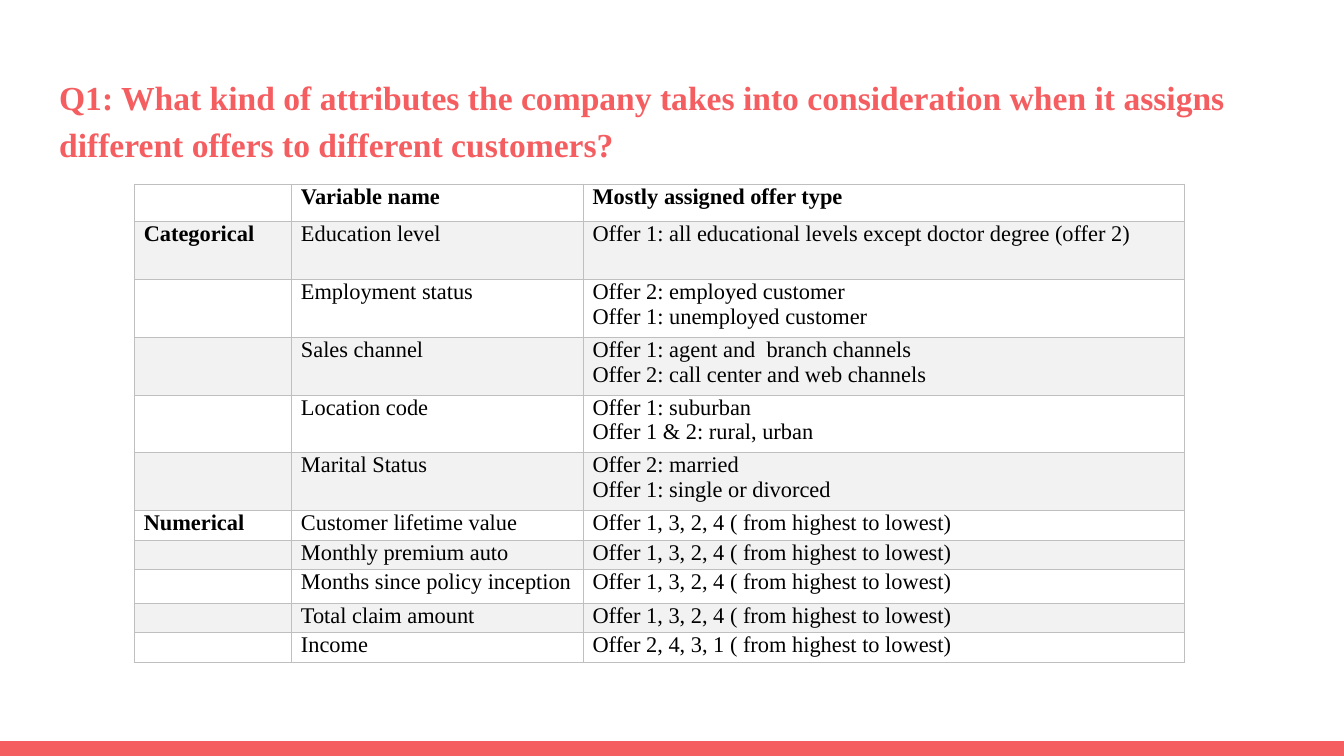
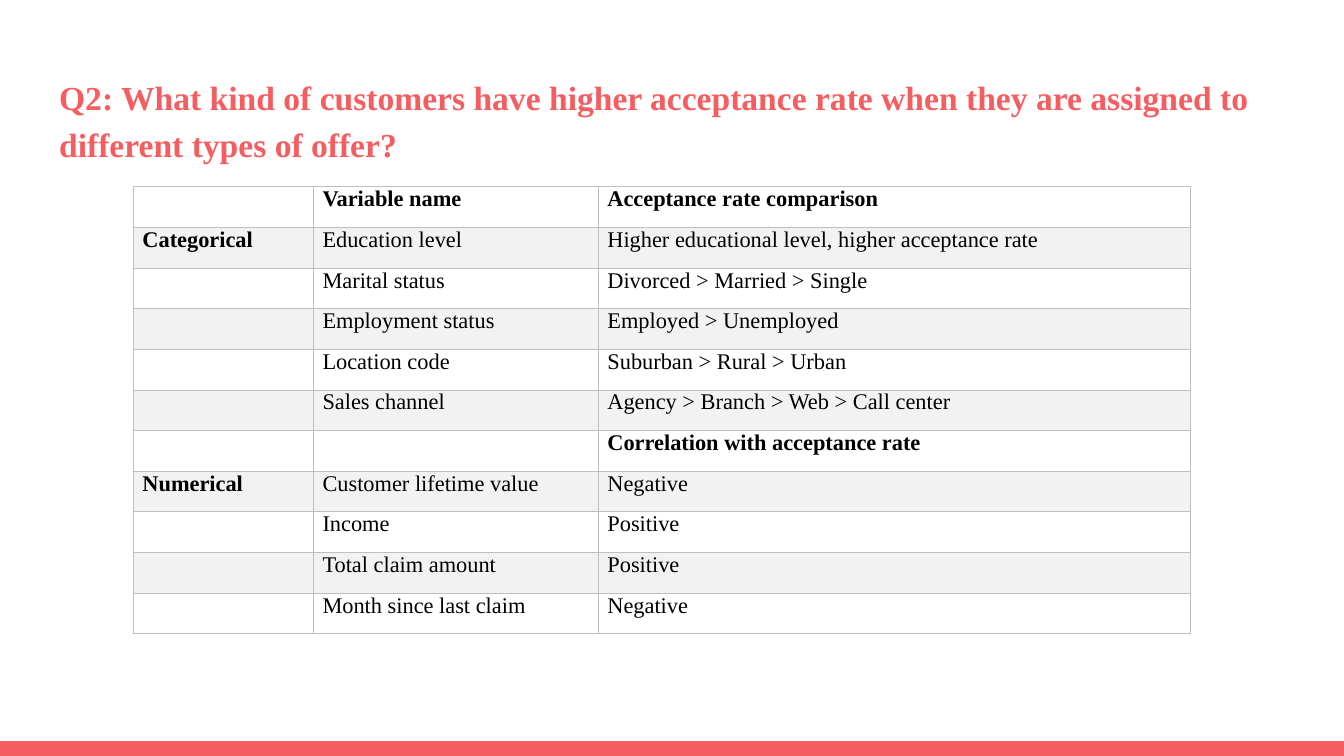
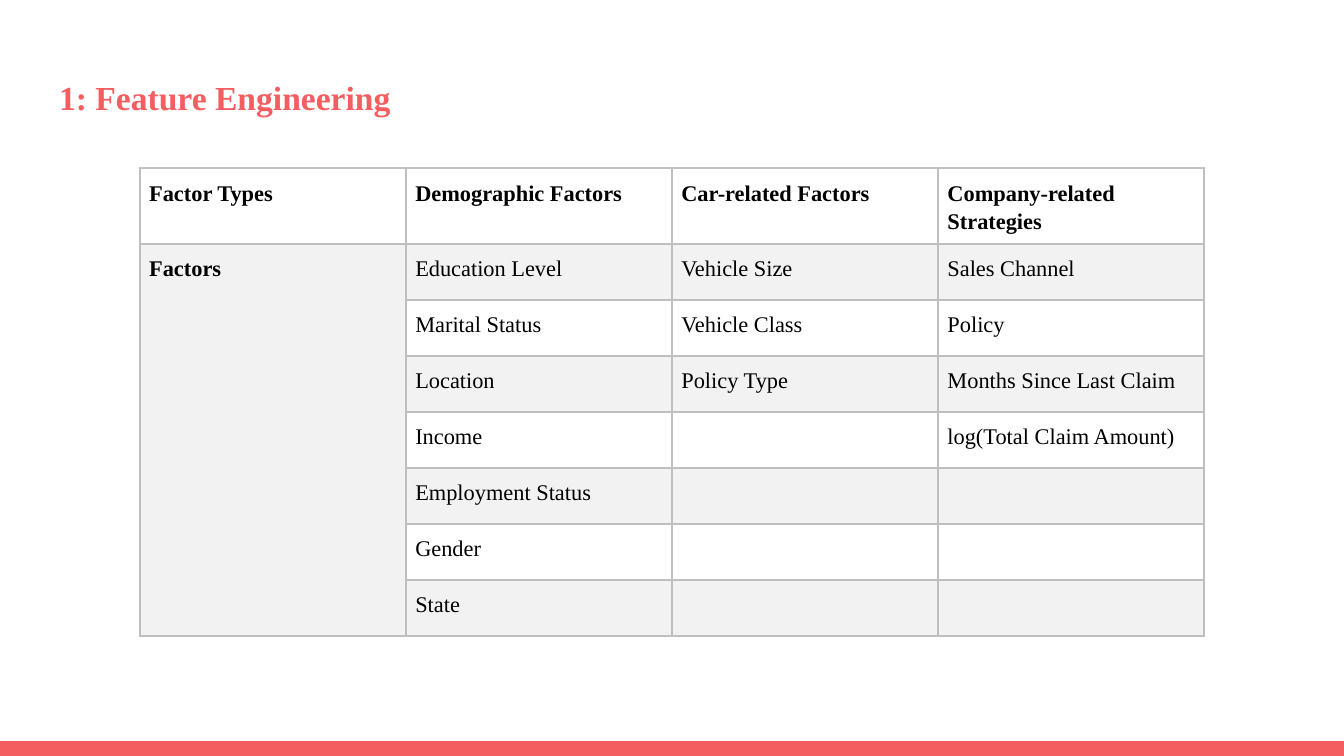
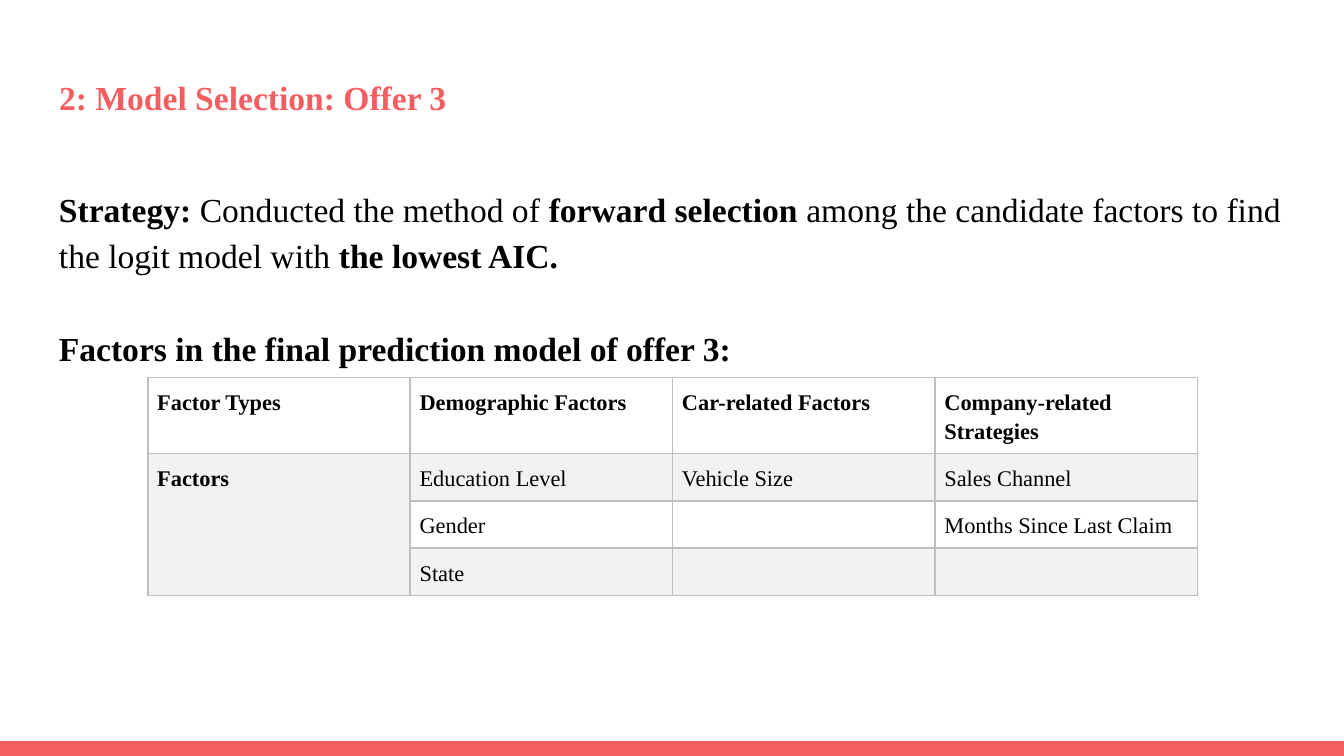
import lxml.etree
import pptx
import pptx.dml.color
import pptx.enum.shapes
import pptx.enum.text
import pptx.oxml
import pptx.oxml.ns
import pptx.util

Inches = pptx.util.Inches
Pt = pptx.util.Pt
RGB = pptx.dml.color.RGBColor
ALIGN = pptx.enum.text.PP_ALIGN
qn = pptx.oxml.ns.qn

WIDE = 10
HIGH = WIDE * 9 / 16
EDGE, TOP, BAND = 0.34, 0.43, 0.11
FONT = "Times New Roman"
CORAL = RGB(0xF5, 0x5E, 0x61)
BLACK = RGB(0, 0, 0)
PALE = RGB(0xF2, 0xF2, 0xF2)
GREY = RGB(0xBF, 0xBF, 0xBF)

RANK = "Offer 1, 3, 2, 4 ( from highest to lowest)"
HEADS = ["Factor Types", "Demographic Factors", "Car-related Factors", "Company-related Strategies"]
LINK = "Correlation with acceptance rate"

PAGES = [
    {
        "title": "Q1: What kind of attributes the company takes into consideration when it assigns different offers to different customers?",
        "tall": 0.9,
        "at": (1, 1.37),
        "cols": [1.17, 2.17, 4.47],
        "rows": [0.28] + [0.43] * 5 + [0.22, 0.22, 0.25, 0.22, 0.22],
        "cells": [
            ["", "Variable name", "Mostly assigned offer type"],
            ["Categorical", "Education level", "Offer 1: all educational levels except doctor degree (offer 2)"],
            ["", "Employment status", "Offer 2: employed customer\nOffer 1: unemployed customer"],
            ["", "Sales channel", "Offer 1: agent and  branch channels\nOffer 2: call center and web channels"],
            ["", "Location code", "Offer 1: suburban\nOffer 1 & 2: rural, urban"],
            ["", "Marital Status", "Offer 2: married\nOffer 1: single or divorced"],
            ["Numerical", "Customer lifetime value", RANK],
            ["", "Monthly premium auto", RANK],
            ["", "Months since policy inception", RANK],
            ["", "Total claim amount", RANK],
            ["", "Income", "Offer 2, 4, 3, 1 ( from highest to lowest)"],
        ],
    },
    {
        "title": "Q2: What kind of customers have higher acceptance rate when they are assigned to different types of offer?",
        "at": (0.99, 1.39),
        "cols": [1.34, 2.12, 4.41],
        "rows": [3.33 / 11] * 11,
        "cells": [
            ["", "Variable name", "Acceptance rate comparison"],
            ["Categorical", "Education level", "Higher educational level, higher acceptance rate"],
            ["", "Marital status", "Divorced > Married > Single"],
            ["", "Employment status", "Employed > Unemployed"],
            ["", "Location code", "Suburban > Rural > Urban"],
            ["", "Sales channel", "Agency > Branch > Web > Call center"],
            ["", "", LINK],
            ["Numerical", "Customer lifetime value", "Negative"],
            ["", "Income", "Positive"],
            ["", "Total claim amount", "Positive"],
            ["", "Month since last claim", "Negative"],
        ],
    },
    {
        "title": "1: Feature Engineering",
        "at": (1.04, 1.25),
        "cols": [1.98] * 4,
        "rows": [0.56] + [5 / 12] * 7,
        "span": True,
        "cells": [
            HEADS,
            ["Factors", "Education Level", "Vehicle Size", "Sales Channel"],
            ["", "Marital Status", "Vehicle Class", "Policy"],
            ["", "Location", "Policy Type", "Months Since Last Claim"],
            ["", "Income", "", "log(Total Claim Amount)"],
            ["", "Employment Status", "", ""],
            ["", "Gender", "", ""],
            ["", "State", "", ""],
        ],
    },
    {
        "title": "2: Model Selection: Offer 3",
        "body": [
            [
                ("Strategy: ", True),
                ("Conducted the method of ", False),
                ("forward selection", True),
                (" among the candidate factors to find the logit model with ", False),
                ("the lowest AIC.", True),
            ],
            [("Factors in the final prediction model of offer 3:", True)],
        ],
        "at": (1.1, 2.81),
        "cols": [7.81 / 4] * 4,
        "rows": [0.56] + [0.35] * 3,
        "span": True,
        "cells": [
            HEADS,
            ["Factors", "Education Level", "Vehicle Size", "Sales Channel"],
            ["", "Gender", "", "Months Since Last Claim"],
            ["", "State", "", ""],
        ],
    },
]


def style(run, size, color, bold):
    font = run.font
    font.name, font.size, font.bold = FONT, Pt(size), bold
    font.color.rgb = color


def frame(text, pad):
    text.word_wrap = True
    text.auto_size = pptx.enum.text.MSO_AUTO_SIZE.NONE
    text.vertical_anchor = pptx.enum.text.MSO_ANCHOR.TOP
    text.margin_left = text.margin_right = Inches(pad)
    text.margin_top = text.margin_bottom = Inches(pad)


def add_band(deck, slide):
    shapes = slide.shapes
    kind = pptx.enum.shapes.MSO_SHAPE.RECTANGLE
    band = shapes.add_shape(kind, 0, Inches(HIGH - BAND), Inches(WIDE), Inches(BAND))
    band.shadow.inherit = False
    band.fill.solid()
    band.fill.fore_color.rgb = CORAL
    band.line.fill.background()
    deck.slide_master.shapes._spTree.append(band._element)


def add_title(slide, words, tall):
    title = slide.shapes.title
    title.left, title.top = Inches(EDGE), Inches(TOP)
    title.width, title.height = Inches(WIDE - 2 * EDGE), Inches(tall)
    text = title.text_frame
    text.text = words
    frame(text, 0.1)
    para = text.paragraphs[0]
    para.alignment, para.line_spacing = ALIGN.LEFT, 1.15
    style(para.runs[0], 18, CORAL, True)


def add_body(slide, paras):
    box = slide.shapes.add_textbox(Inches(EDGE), Inches(1.26), Inches(WIDE - 2 * EDGE), Inches(3.74))
    text = box.text_frame
    frame(text, 0.1)
    for i, parts in enumerate(paras):
        para = text.add_paragraph() if i else text.paragraphs[0]
        para.line_spacing = 1.15
        if i:
            para.space_before = Pt(25)
        for words, bold in parts:
            run = para.add_run()
            run.text = words
            style(run, 18, BLACK, bold)


def add_edges(cell, width):
    props = cell._tc.get_or_add_tcPr()
    for side in "LRTB":
        line = lxml.etree.SubElement(props, qn("a:ln" + side), w=str(Pt(width)))
        fill = lxml.etree.SubElement(line, qn("a:solidFill"))
        lxml.etree.SubElement(fill, qn("a:srgbClr"), val=str(GREY))


def fill_cell(cell, words, bold, shade, span):
    add_edges(cell, 1 if span else 0.5)
    if shade:
        cell.fill.solid()
        cell.fill.fore_color.rgb = PALE
    else:
        cell.fill.background()
    cell.margin_left = cell.margin_right = Inches(0.07)
    cell.margin_top = cell.margin_bottom = Inches(0.07 if span else 0)
    cell.text_frame.text = words
    for para in cell.text_frame.paragraphs:
        if span:
            para.line_spacing = 1.15
        for run in para.runs:
            style(run, 12, BLACK, bold)
        if not words:
            lxml.etree.SubElement(para._p, qn("a:endParaRPr"), sz="1200")


def add_grid(slide, page):
    cols, rows, span = page["cols"], page["rows"], page.get("span", False)
    left, top = page["at"]
    sizes = [Inches(n) for n in (left, top, sum(cols), sum(rows))]
    table = slide.shapes.add_table(len(rows), len(cols), *sizes).table
    table.first_row = table.horz_banding = False
    for col, width in zip(table.columns, cols):
        col.width = Inches(width)
    for row, height in zip(table.rows, rows):
        row.height = Inches(height)
    for r, line in enumerate(page["cells"]):
        for c, words in enumerate(line):
            bold = r == 0 or c == 0 or words == LINK
            shade = r % 2 == 1 or (span and r > 0 and c == 0)
            fill_cell(table.cell(r, c), words, bold, shade, span)
    if span:
        first = table.cell(1, 0)
        first.merge(table.cell(len(rows) - 1, 0))
        first.text_frame.paragraphs[0].alignment = ALIGN.JUSTIFY


def main():
    deck = pptx.Presentation()
    deck.slide_width, deck.slide_height = Inches(WIDE), Inches(HIGH)
    for i, page in enumerate(PAGES):
        slide = deck.slides.add_slide(deck.slide_layouts[5])
        if i == 0:
            add_band(deck, slide)
        add_title(slide, page["title"], page.get("tall", 0.68))
        if "body" in page:
            add_body(slide, page["body"])
        add_grid(slide, page)
    deck.save("out.pptx")


if __name__ == "__main__":
    main()
